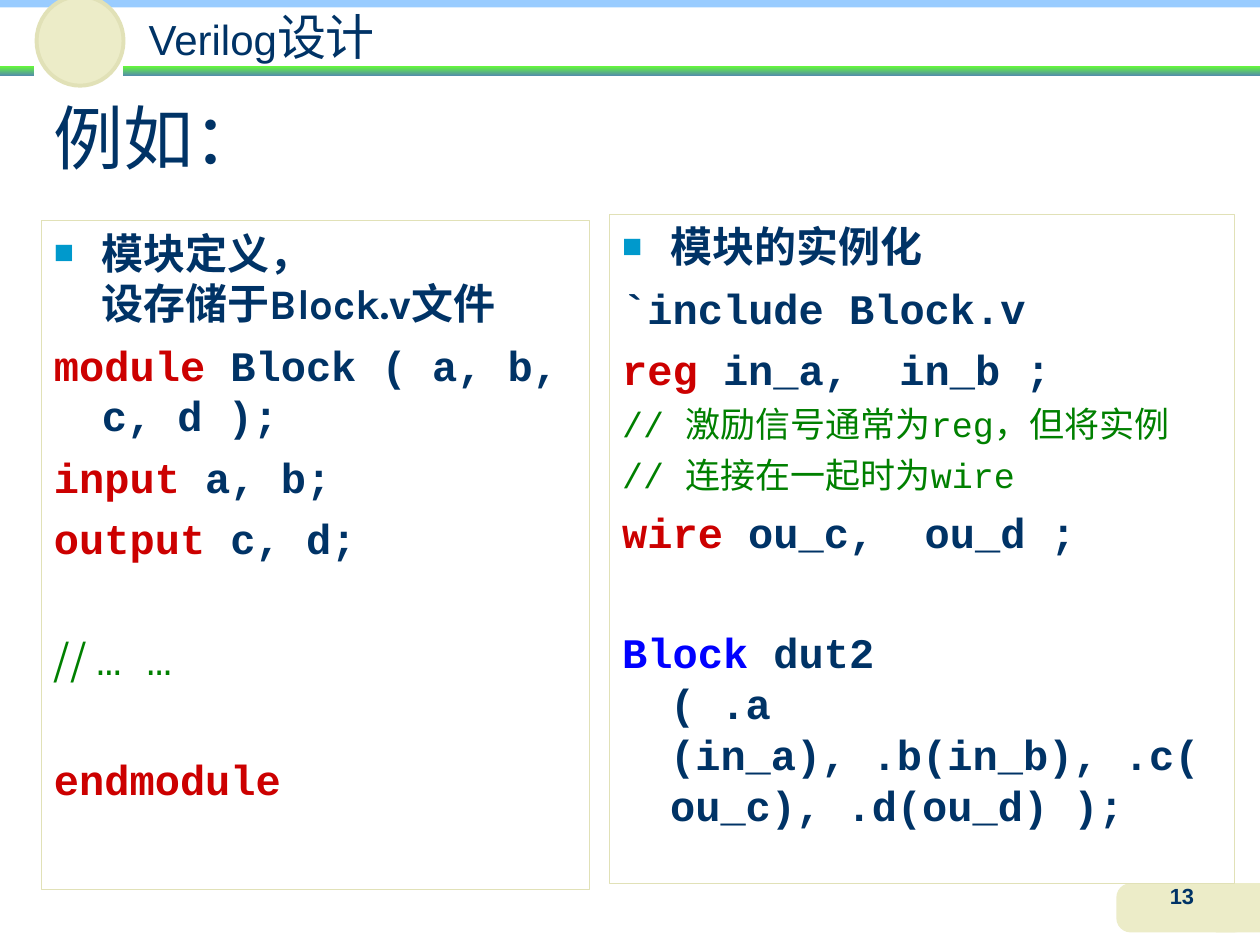
import pptx
import pptx.util
import pptx.dml.color
import pptx.enum.shapes
import pptx.enum.text
import pptx.oxml
import pptx.oxml.ns

Inches = pptx.util.Inches
Pt = pptx.util.Pt
RGBColor = pptx.dml.color.RGBColor
MSO_SHAPE = pptx.enum.shapes.MSO_SHAPE
PP_ALIGN = pptx.enum.text.PP_ALIGN
MSO_ANCHOR = pptx.enum.text.MSO_ANCHOR

NAVY = RGBColor(0x00, 0x33, 0x66)
RED = RGBColor(0xCC, 0x00, 0x00)
GREEN = RGBColor(0x00, 0x80, 0x00)
BLUE = RGBColor(0x00, 0x00, 0xFF)
SKY = RGBColor(0x99, 0xCC, 0xFF)
LIME = RGBColor(0x66, 0xFF, 0x33)
TEAL = RGBColor(0x54, 0x90, 0xA8)
CREAM = RGBColor(0xEC, 0xEC, 0xC8)
SAND = RGBColor(0xE1, 0xE1, 0xB7)
BULLET = RGBColor(0x00, 0x99, 0xCC)

HEADING = "Karla"
CODE = "Courier New"
SANS = "Arial"
CJK = "Noto Sans CJK SC"


def add_box(s, shape, x, y, w, h, fill=None, line=None, line_width=0.75):
    sp = s.shapes.add_shape(shape, Inches(x), Inches(y), Inches(w), Inches(h))
    sp.shadow.inherit = False
    if fill is None:
        sp.fill.background()
    else:
        sp.fill.solid()
        sp.fill.fore_color.rgb = fill
    if line is None:
        sp.line.fill.background()
    else:
        sp.line.color.rgb = line
        sp.line.width = Pt(line_width)
    return sp


def add_gradient_bar(s, x, y, w, h):
    sp = add_box(s, MSO_SHAPE.RECTANGLE, x, y, w, h)
    sp.fill.gradient()
    sp.fill.gradient_angle = 270
    for stop, color, position in zip(sp.fill.gradient_stops, (LIME, TEAL), (0, 1)):
        stop.color.rgb = color
        stop.position = position


def add_text_box(s, x, y, w, h):
    sp = s.shapes.add_textbox(Inches(x), Inches(y), Inches(w), Inches(h))
    sp.text_frame.word_wrap = True
    return sp.text_frame


def style_run(r, size, color, font, bold=False):
    r.font.size = Pt(size)
    r.font.color.rgb = color
    r.font.name = font
    r.font.bold = bold
    ea = pptx.oxml.parse_xml(
        f'<a:ea {pptx.oxml.ns.nsdecls("a")} typeface="{font}"/>')
    r.font._element.find(pptx.oxml.ns.qn("a:latin")).addnext(ea)


def add_runs(p, parts, size):
    for text, color, font, bold in parts:
        for i, line in enumerate(text.split("\n")):
            if i:
                p.add_line_break()
            r = p.add_run()
            r.text = line
            style_run(r, size, color, font, bold)


def add_bullet(p):
    ns = pptx.oxml.ns.nsdecls("a")
    for xml in (
        f'<a:buClr {ns}><a:srgbClr val="{BULLET}"/></a:buClr>',
        f'<a:buSzPct {ns} val="80000"/>',
        f'<a:buFont {ns} typeface="{SANS}"/>',
        f'<a:buChar {ns} char="■"/>',
    ):
        p._p.get_or_add_pPr().append(pptx.oxml.parse_xml(xml))


def add_header(s, x, y, w, h):
    disc_x, disc_w, rule_y = 0.29, 0.69, 0.54
    add_gradient_bar(s, x + disc_x + disc_w, y + rule_y, w - disc_x - disc_w, 0.08)
    add_box(s, MSO_SHAPE.RECTANGLE, x, y, w, 0.08, SKY)
    add_box(s, MSO_SHAPE.OVAL, x + disc_x, y - 0.01, disc_w, 0.71, CREAM, SAND, 2.25)
    add_gradient_bar(s, x, y + rule_y, 0.27, 0.08)
    tf = add_text_box(s, x + disc_x + disc_w, y + 0.07, 4.1, h - 0.2)
    tf.margin_left = Inches(0.2)
    tf.margin_right = Inches(0.02)
    tf.margin_top = tf.margin_bottom = 0
    p = tf.paragraphs[0]
    add_runs(p, [("Verilog", NAVY, SANS, False)], 24)
    add_runs(p, [("设计", NAVY, SANS, False)], 28)


def add_page_number(s, x, y, w, h):
    add_box(s, MSO_SHAPE.RECTANGLE, x + w - 0.35, y, 0.35, h, CREAM)
    tab = add_box(s, MSO_SHAPE.ROUNDED_RECTANGLE, x, y, 1.05, h, CREAM)
    tab.adjustments[0] = 0.29
    tf = add_text_box(s, x + 0.06, y - 0.01, 0.92, 0.33)
    p = tf.paragraphs[0]
    p.text = "13"
    p.alignment = PP_ALIGN.CENTER
    p.line_spacing = 0.8
    style_run(p.runs[0], 12.5, NAVY, SANS, True)


def add_title(s, x, y, w, h):
    tf = add_text_box(s, x, y, w, h)
    tf.vertical_anchor = MSO_ANCHOR.MIDDLE
    tf.text = "例如："
    style_run(tf.paragraphs[0].runs[0], 40, NAVY, HEADING)


def add_code_panel(s, x, y, w, h, heading, lines):
    sp = add_box(s, MSO_SHAPE.RECTANGLE, x, y, w, h, line=SAND)
    tf = sp.text_frame
    tf.word_wrap = True
    tf.vertical_anchor = MSO_ANCHOR.TOP
    rows = [(24, 0, [(heading, NAVY, HEADING, True)])] + lines
    for i, (size, before, parts) in enumerate(rows):
        p = tf.add_paragraph() if i else tf.paragraphs[0]
        p.alignment = PP_ALIGN.LEFT
        p.line_spacing = Pt(29 if size == 24 else 24)
        p.space_before = Pt(before)
        pPr = p._p.get_or_add_pPr()
        pPr.set("marL", str(Inches(0.38)))
        pPr.set("indent", str(Inches(-0.38)))
        if i == 0:
            add_bullet(p)
        add_runs(p, parts, size)


def code(keyword, rest="", color=RED, before=6):
    parts = [(keyword, color, CODE, True)]
    if rest:
        parts.append((rest, NAVY, CODE, True))
    return 24, before, parts


def comment(text):
    return 20, 5, [(text, GREEN, CODE, False)]


SECTION_GAP = 40

DEFINITION = [
    code("module", " Block ( a, b, c, d );"),
    code("input", " a, b;"),
    code("output", " c, d;"),
    (24, SECTION_GAP, [("// ", GREEN, CJK, False), ("… …", GREEN, CODE, False)]),
    code("endmodule", before=SECTION_GAP),
]

INSTANCE = [
    code("`include Block.v", color=NAVY),
    code("reg", " in_a,  in_b ;"),
    comment("// 激励信号通常为reg，但将实例"),
    comment("// 连接在一起时为wire"),
    code("wire", " ou_c,  ou_d ;"),
    code("Block", " dut2\n( .a (in_a), .b(in_b), .c(ou_c), .d(ou_d) );", BLUE, SECTION_GAP),
]


def main():
    prs = pptx.Presentation()
    prs.slide_width = Inches(10)
    prs.slide_height = Inches(7.5)
    s = prs.slides.add_slide(prs.slide_layouts[6])
    add_header(s, 0, -0.02, 10, 0.62)
    add_page_number(s, 8.86, 7.01, 1.14, 0.39)
    add_title(s, 0.33, 0.58, 9.45, 1)
    add_code_panel(s, 0.33, 1.75, 4.35, 5.31, "模块定义，\n设存储于Block.v文件", DEFINITION)
    add_code_panel(s, 4.84, 1.7, 4.96, 5.31, "模块的实例化", INSTANCE)
    prs.save("out.pptx")


if __name__ == "__main__":
    main()
